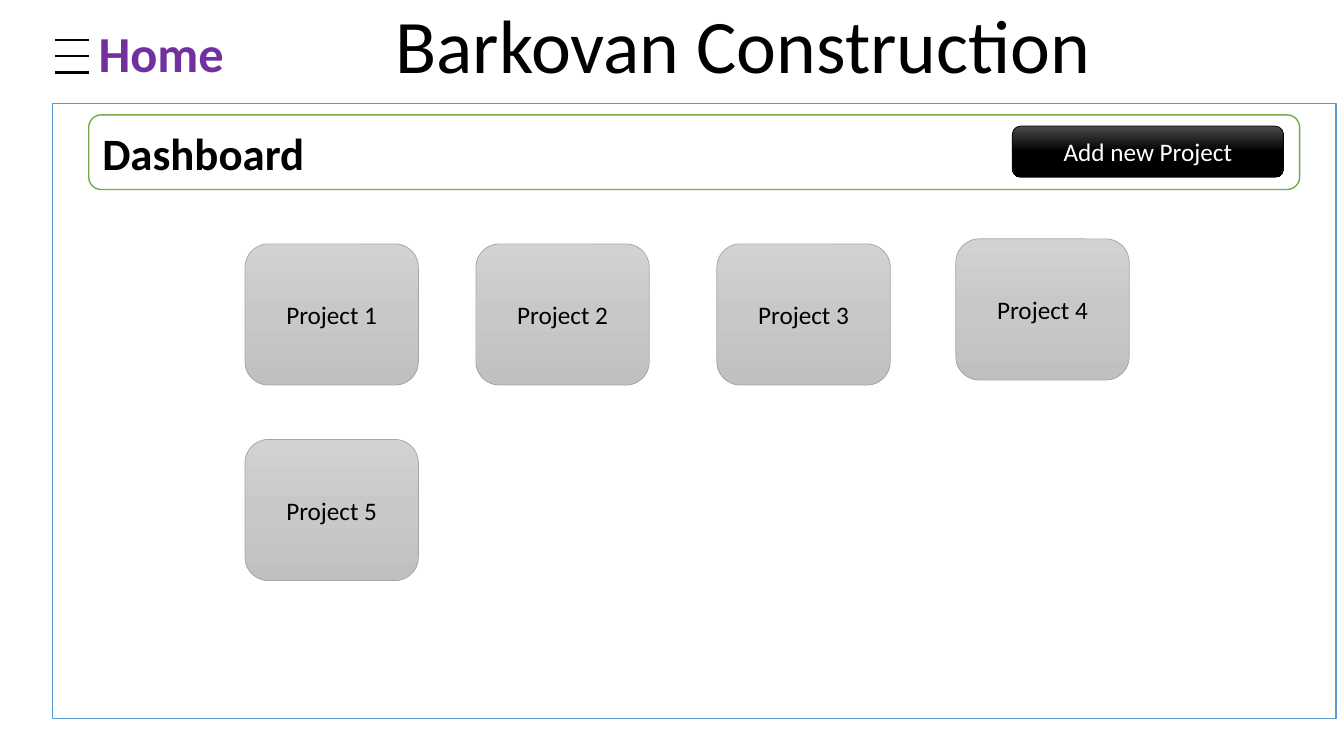
from copy import deepcopy
from pptx import Presentation
from pptx.dml.color import RGBColor
from pptx.enum.shapes import MSO_CONNECTOR as Line, MSO_SHAPE as Shape
from pptx.enum.text import MSO_ANCHOR as Anchor, MSO_AUTO_SIZE as Fit, PP_ALIGN as Align
from pptx.oxml.ns import qn
from pptx.util import Pt
from lxml import etree

PX = 9144  # 100 px to the inch
SIZE = (1333, 750)
FONT = "Calibri"

TITLE = ("Barkovan Construction", (364, -7, 746, 101))
HOME = ("Home", (-120, 17, 560, 71))
MENU = {"left": 55, "right": 88, "top": 40, "gap": 16, "count": 3}
PANEL = (52, 103, 1273, 610)
HEADER = ("Dashboard", (88, 114, 1201, 74))
BUTTON = ("Add new Project", (1004, 125, 269, 51))
PROJECTS = [
    ("Project 1", 243, 242),
    ("Project 2", 472, 242),
    ("Project 3", 711, 242),
    ("Project 4", 948, 237),
    ("Project 5", 243, 436),
]
CARD = (172, 140)
BLACK_FADE = ("4B4B4B", "000000", "000000")
GREY_FADE = ("D2D2D2", "C8C8C8", "C0C0C0")


def color(code):
    return RGBColor.from_string(code)


def emu(values):
    return [v * PX for v in values]


def write(shape, text, size, code, bold=False, align=Align.CENTER, anchor=Anchor.MIDDLE):
    frame = shape.text_frame
    frame.word_wrap = True
    frame.auto_size = Fit.NONE
    frame.vertical_anchor = anchor
    para = frame.paragraphs[0]
    para.text = text
    para.alignment = align
    font = para.font
    font.name, font.size, font.bold = FONT, Pt(size), bold
    font.color.rgb = color(code)


def fade(shape, codes):
    """Fill from top to bottom with three evenly spaced colours."""
    shape.fill.gradient()
    shape.fill.gradient_angle = 270
    first = shape.element.spPr.find(".//" + qn("a:gs"))
    first.addnext(deepcopy(first))
    for i, (stop, code) in enumerate(zip(shape.fill.gradient_stops, codes)):
        stop.position = i / 2
        stop.color.rgb = color(code)


def box(kind, area, edge, width, fills=None):
    shape = slide.shapes.add_shape(kind, *emu(area))
    shape.shadow.inherit = False
    shape.line.color.rgb = color(edge)
    shape.line.width = Pt(width)
    if fills:
        fade(shape, fills)
    else:
        shape.fill.solid()
        shape.fill.fore_color.rgb = color("FFFFFF")
    return shape


deck = Presentation()
deck.slide_width, deck.slide_height = emu(SIZE)
slide = deck.slides.add_slide(deck.slide_layouts[5])

text, area = TITLE
title = slide.shapes.title
title.left, title.top, title.width, title.height = emu(area)
write(title, text, 54, "000000", anchor=Anchor.TOP)

text, area = HOME
home = slide.shapes.add_textbox(*emu(area))
write(home, text, 36, "7030A0", bold=True, anchor=Anchor.TOP)

for i in range(MENU["count"]):
    y = MENU["top"] + i * MENU["gap"]
    bar = slide.shapes.add_connector(
        Line.STRAIGHT, *emu((MENU["left"], y, MENU["right"], y)))
    bar.line.color.rgb = color("000000")
    bar.line.width = Pt(1.5)
    etree.SubElement(bar.element.spPr, qn("a:effectLst"))

box(Shape.RECTANGLE, PANEL, "5B9BD5", 1)

text, area = HEADER
header = box(Shape.ROUNDED_RECTANGLE, area, "70AD47", 1)
write(header, text, 32, "000000", bold=True, align=Align.LEFT)

text, area = BUTTON
button = box(Shape.ROUNDED_RECTANGLE, area, "000000", 0.5, BLACK_FADE)
write(button, text, 18, "FFFFFF")

for text, x, y in PROJECTS:
    card = box(Shape.ROUNDED_RECTANGLE, (x, y, *CARD), "A5A5A5", 0.5, GREY_FADE)
    write(card, text, 18, "000000")

deck.save("out.pptx")
